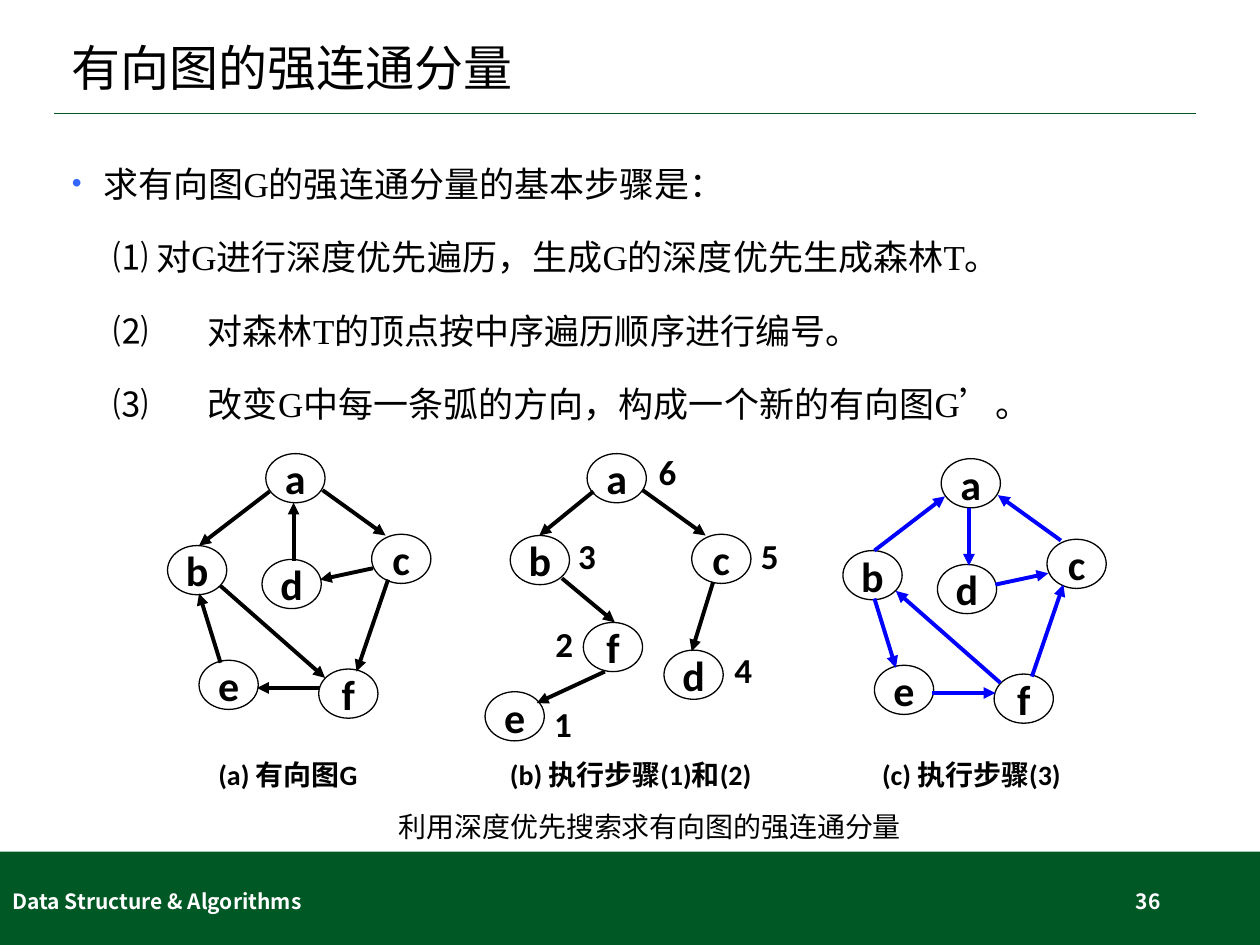
from lxml.etree import SubElement
from pptx import Presentation
from pptx.dml.color import RGBColor
from pptx.enum.shapes import MSO_CONNECTOR, MSO_SHAPE
from pptx.enum.text import MSO_ANCHOR, MSO_AUTO_SIZE, PP_ALIGN
from pptx.oxml.ns import qn
from pptx.util import Inches, Pt

GREEN = RGBColor(0x00, 0x58, 0x25)
BLACK = RGBColor(0x00, 0x00, 0x00)
WHITE = RGBColor(0xFF, 0xFF, 0xFF)
BLUE = RGBColor(0x00, 0x00, 0xFF)
LATIN, SERIF, CHINESE = "Calibri", "Times New Roman", "Noto Sans CJK SC"
NODE_WIDTH, NODE_HEIGHT = 0.47, 0.39

# Node corners, and arrows as start and end, relative to the graph's corner
GRAPH_NODES = {"a": (0.78, 0), "b": (0, 0.73), "c": (1.62, 0.64),
               "d": (0.75, 0.84), "e": (0.25, 1.64), "f": (1.2, 1.71)}
GRAPH_ARROWS = [
    ((0.81, 0.3), (0.25, 0.73)), ((1.23, 0.29), (1.73, 0.65)),
    ((0.42, 1.66), (0.25, 1.11)), ((0.42, 1.05), (1.25, 1.78)),
    ((1.75, 1), (1.5, 1.73)), ((1.21, 1.86), (0.71, 1.86)),
    ((1, 0.85), (1, 0.39)), ((1.63, 0.91), (1.21, 1)),
]
TREE_NODES = {"a": (0.81, 0), "b": (0.2, 0.65), "c": (1.64, 0.64),
              "d": (1.42, 1.56), "e": (0, 1.89), "f": (0.78, 1.34)}
TREE_ARROWS = [
    ((0.86, 0.3), (0.43, 0.65)), ((1.25, 0.29), (1.75, 0.65)),
    ((0.61, 0.99), (1.03, 1.34)), ((0.95, 1.73), (0.41, 1.98)),
    ((1.81, 1.02), (1.64, 1.57)),
]
TREE_NUMBERS = {"6": (1.28, 0.01), "5": (2.09, 0.67), "4": (1.88, 1.58),
                "3": (0.64, 0.67), "2": (0.46, 1.37), "1": (0.45, 2.01)}


def write_text(para, text, size=16, font=LATIN, color=BLACK, bold=False,
               align=PP_ALIGN.LEFT):
    para.alignment = align
    span = para.add_run()
    span.text = text
    span.font.size = Pt(size)
    span.font.name = font
    span.font.bold = bold
    span.font.color.rgb = color
    SubElement(span.font._element, qn("a:ea"), typeface=CHINESE)


def add_label(page, box, text, wrap=False, anchor=MSO_ANCHOR.MIDDLE, **text_format):
    frame = page.shapes.add_textbox(*map(Inches, box)).text_frame
    frame.word_wrap = wrap
    frame.vertical_anchor = anchor
    write_text(frame.paragraphs[0], text, **text_format)


def add_line(page, start, end, color, width, arrow=False):
    line = page.shapes.add_connector(
        MSO_CONNECTOR.STRAIGHT, *map(Inches, (*start, *end)))
    line.line.color.rgb = color
    line.line.width = Pt(width)
    if arrow:
        SubElement(line.line._get_or_add_ln(), qn("a:tailEnd"), type="triangle")
    SubElement(line._element.spPr, qn("a:effectLst"))


def add_node(page, left, top, name):
    node = page.shapes.add_shape(
        MSO_SHAPE.OVAL, *map(Inches, (left, top, NODE_WIDTH, NODE_HEIGHT)))
    node.shadow.inherit = False
    node.fill.background()
    node.line.color.rgb = BLACK
    node.line.width = Pt(0.75)
    frame = node.text_frame
    frame.word_wrap = False
    frame.vertical_anchor = MSO_ANCHOR.MIDDLE
    write_text(frame.paragraphs[0], name, size=24, bold=True, align=PP_ALIGN.CENTER)


def add_graph(page, left, top, nodes, arrows, color=BLACK, reverse=False, numbers=None):
    def place(point):
        return left + point[0], top + point[1]

    for name, corner in nodes.items():
        add_node(page, *place(corner), name)
    for arrow in arrows:
        start, end = reversed(arrow) if reverse else arrow
        add_line(page, place(start), place(end), color, 2.25, arrow=True)
    for number, corner in (numbers or {}).items():
        add_label(page, (*place(corner), 0.33, 0.27), number, size=20, bold=True)


def fill_placeholder(holder, box):
    holder.left, holder.top, holder.width, holder.height = map(Inches, box)
    holder.text_frame.auto_size = MSO_AUTO_SIZE.NONE
    return holder.text_frame


def add_title(page, box, text):
    frame = fill_placeholder(page.shapes.title, box)
    frame.vertical_anchor = MSO_ANCHOR.MIDDLE
    frame.paragraphs[0].line_spacing = 0.9
    write_text(frame.paragraphs[0], text, size=28)


def add_steps(page, box, heading, steps):
    frame = fill_placeholder(page.placeholders[1], box)
    for index, text in enumerate([heading, *steps]):
        para = frame.add_paragraph() if index else frame.paragraphs[0]
        para.level = 1 if index else 0
        para.line_spacing = 1.5
        para.space_before = Pt(6 if index else 0)
        layout = para._p.get_or_add_pPr()
        layout.set("marL", str(Inches(0.58 if index else 0.25)))
        layout.set("indent", str(Inches(-0.25)))
        if index:
            SubElement(layout, qn("a:buNone"))
            stops = SubElement(layout, qn("a:tabLst"))
            SubElement(stops, qn("a:tab"), pos=str(Inches(0.74)), algn="l")
        else:
            bullet_color = SubElement(layout, qn("a:buClr"))
            SubElement(bullet_color, qn("a:srgbClr"), val="3366FF")
            SubElement(layout, qn("a:buSzPct"), val="80000")
            SubElement(layout, qn("a:buChar"), char="•")
        write_text(para, text, size=20, font=SERIF)


def add_footer(page, left, top, width, height):
    bar = page.shapes.add_shape(
        MSO_SHAPE.RECTANGLE, *map(Inches, (left, top, width, height)))
    bar.shadow.inherit = False
    bar.fill.solid()
    bar.fill.fore_color.rgb = GREEN
    bar.line.fill.background()
    style = {"size": 12, "font": CHINESE, "color": WHITE, "bold": True, "wrap": True}
    add_label(page, (left, top + 0.19, 3.38, 0.4), "Data Structure & Algorithms", **style)
    add_label(page, (left + 7.06, top + 0.19, 2.25, 0.4), "36",
              align=PP_ALIGN.RIGHT, **style)


def main():
    deck = Presentation()
    deck.slide_width, deck.slide_height = Inches(10), Inches(7.5)
    page = deck.slides.add_slide(deck.slide_layouts[1])

    # Frame and text
    add_footer(page, 0, 6.76, 10, 0.74)
    add_line(page, (0.43, 0.9), (9.49, 0.9), GREEN, 1)
    add_title(page, (0.47, 0.23, 9.06, 0.66), "有向图的强连通分量")
    add_steps(page, (0.47, 1.07, 9.06, 5.54), "求有向图G的强连通分量的基本步骤是：", [
        "⑴ 对G进行深度优先遍历，生成G的深度优先生成森林T。",
        "⑵\t对森林T的顶点按中序遍历顺序进行编号。",
        "⑶\t改变G中每一条弧的方向，构成一个新的有向图G’。",
    ])

    # Graph, its spanning tree, and the graph with every arrow reversed
    add_graph(page, 1.33, 3.6, GRAPH_NODES, GRAPH_ARROWS)
    add_graph(page, 3.85, 3.6, TREE_NODES, TREE_ARROWS, numbers=TREE_NUMBERS)
    add_graph(page, 6.69, 3.64, GRAPH_NODES, GRAPH_ARROWS, color=BLUE, reverse=True)

    # Captions
    for left, width, text in [(1.42, 1.73, "(a) 有向图G"),
                              (3.68, 2.65, "(b) 执行步骤(1)和(2)"),
                              (6.68, 2.06, "(c) 执行步骤(3)")]:
        add_label(page, (left, 5.95, width, 0.39), text, bold=True,
                  align=PP_ALIGN.CENTER)
    add_label(page, (3.04, 6.38, 4.24, 0.37), "利用深度优先搜索求有向图的强连通分量",
              font=CHINESE, anchor=MSO_ANCHOR.TOP, align=PP_ALIGN.CENTER)

    deck.save("out.pptx")


if __name__ == "__main__":
    main()
